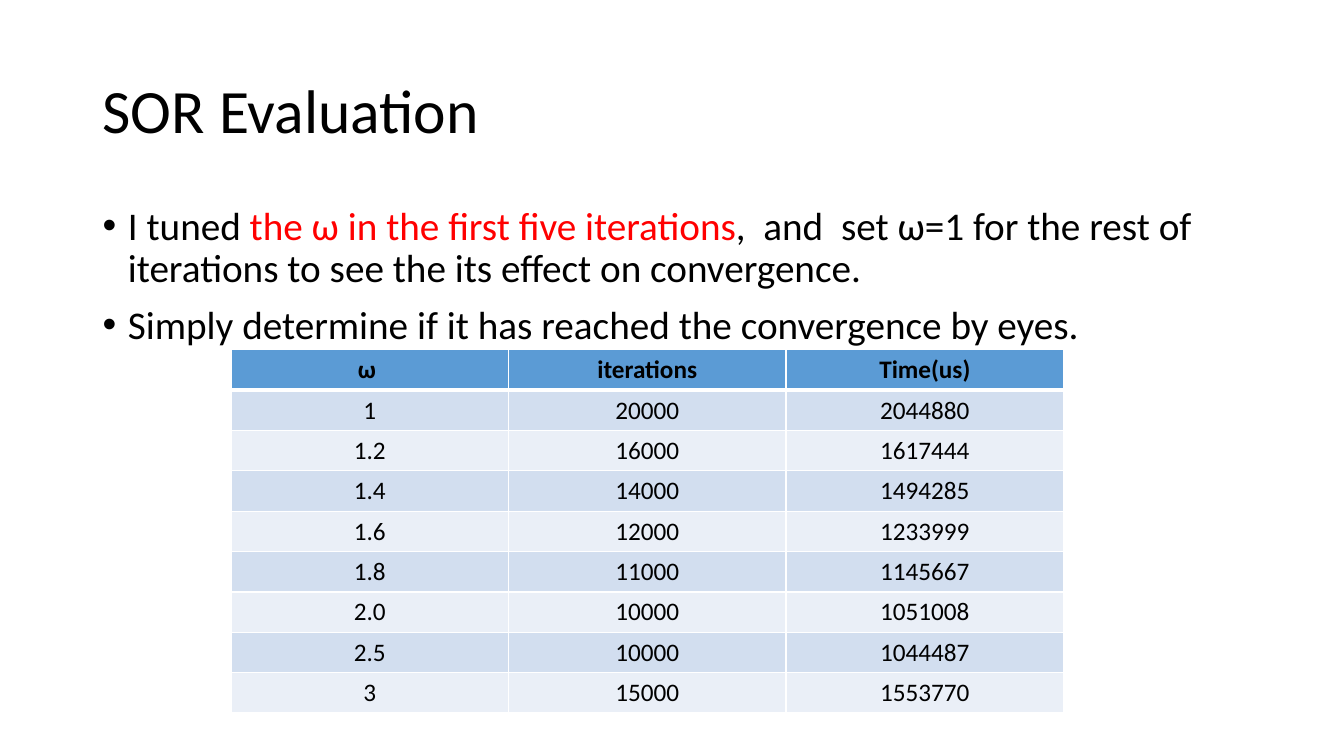
from lxml.etree import SubElement
from pptx import Presentation
from pptx.dml.color import RGBColor
from pptx.enum.text import MSO_ANCHOR, PP_ALIGN
from pptx.oxml.ns import qn
from pptx.util import Inches, Pt

BLACK = RGBColor(0x00, 0x00, 0x00)
RED = RGBColor(0xFF, 0x00, 0x00)
WHITE = RGBColor(0xFF, 0xFF, 0xFF)
HEADER_BLUE = RGBColor(0x5B, 0x9B, 0xD5)
BAND_DARK = RGBColor(0xD2, 0xDE, 0xEF)
BAND_LIGHT = RGBColor(0xEA, 0xEF, 0xF7)
FONT = "Calibri"

RESULTS = [
    ("ω ", "iterations", "Time(us)"),
    ("1", "20000", "2044880"),
    ("1.2", "16000", "1617444"),
    ("1.4", "14000", "1494285"),
    ("1.6", "12000", "1233999"),
    ("1.8", "11000", "1145667"),
    ("2.0", "10000", "1051008"),
    ("2.5", "10000", "1044487"),
    ("3", "15000", "1553770"),
]

# Each bullet is a list of (text, colour) pieces
BULLETS = [
    [
        ("I tuned ", BLACK),
        ("the ω in the first five iterations", RED),
        (",  and  set ω=1 for the rest of iterations to see the its effect "
         "on convergence.", BLACK),
    ],
    [("Simply determine if it has reached the convergence by eyes.", BLACK)],
]


def style_run(run, size, color=BLACK, bold=False):
    run.font.name = FONT
    run.font.size = Pt(size)
    run.font.color.rgb = color
    run.font.bold = bold


def add_text_frame(slide, left, top, width, height, anchor):
    box = slide.shapes.add_textbox(
        Inches(left), Inches(top), Inches(width), Inches(height))
    frame = box.text_frame
    frame.word_wrap = True
    frame.vertical_anchor = anchor
    return frame


def add_title(slide, text):
    frame = add_text_frame(slide, 0.92, 0.4, 11.5, 1.45, MSO_ANCHOR.MIDDLE)
    frame.text = text
    heading = frame.paragraphs[0]
    heading.line_spacing = 0.9
    style_run(heading.runs[0], 44)


def make_bullet(paragraph):
    properties = paragraph._p.get_or_add_pPr()
    properties.set("marL", str(Inches(0.25)))
    properties.set("indent", str(-Inches(0.25)))
    SubElement(properties, qn("a:buFont"), typeface="Arial")
    SubElement(properties, qn("a:buChar"), char="•")


def add_bullets(slide, bullets):
    frame = add_text_frame(slide, 0.92, 2, 11.5, 4.76, MSO_ANCHOR.TOP)
    for index, pieces in enumerate(bullets):
        bullet = frame.add_paragraph() if index else frame.paragraphs[0]
        bullet.line_spacing = 0.9
        bullet.space_before = Pt(10)
        make_bullet(bullet)
        for text, color in pieces:
            run = bullet.add_run()
            run.text = text
            style_run(run, 28, color)


def set_borders(cell, widths):
    properties = cell._tc.get_or_add_tcPr()
    for side, width in widths.items():
        line = SubElement(properties, qn(f"a:ln{side}"), w=str(Pt(width)))
        fill = SubElement(line, qn("a:solidFill"))
        SubElement(fill, qn("a:srgbClr"), val=str(WHITE))


def fill_cell(cell, text, row):
    # Borders: a thick rule separates the header from the results
    set_borders(cell, {"L": 1, "R": 1,
                       "T": 3 if row == 1 else 1,
                       "B": 3 if row == 0 else 1})
    cell.fill.solid()
    band = BAND_DARK if row % 2 else BAND_LIGHT
    cell.fill.fore_color.rgb = band if row else HEADER_BLUE
    cell.text = text
    paragraph = cell.text_frame.paragraphs[0]
    paragraph.alignment = PP_ALIGN.CENTER
    style_run(paragraph.runs[0], 18, bold=row == 0)


def add_results_table(slide, results):
    table = slide.shapes.add_table(
        len(results), len(results[0]), Inches(2.29), Inches(3.47),
        Inches(8.26), Inches(0.4) * len(results)).table
    for row, values in enumerate(results):
        for column, value in enumerate(values):
            fill_cell(table.cell(row, column), value, row)


def main():
    presentation = Presentation()
    presentation.slide_width = Inches(13.33)
    presentation.slide_height = Inches(7.5)
    slide = presentation.slides.add_slide(presentation.slide_layouts[6])

    add_title(slide, "SOR Evaluation")
    add_bullets(slide, BULLETS)
    add_results_table(slide, RESULTS)

    presentation.save("out.pptx")


if __name__ == "__main__":
    main()
